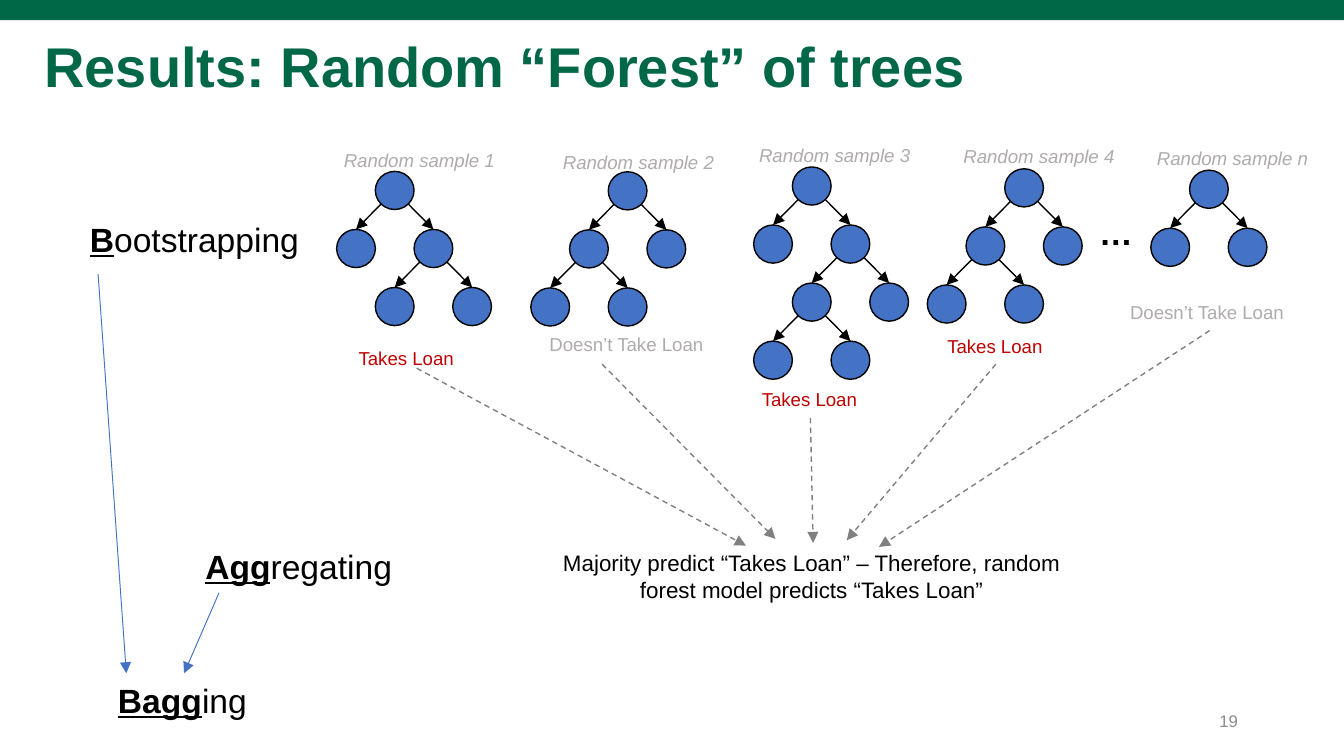
import dataclasses

import pptx
import pptx.dml.color
import pptx.enum.dml
import pptx.enum.shapes
import pptx.enum.text
import pptx.oxml.ns
import pptx.util
from lxml import etree

Align = pptx.enum.text.PP_ALIGN
Anchor = pptx.enum.text.MSO_ANCHOR
Shape = pptx.enum.shapes.MSO_SHAPE


@dataclasses.dataclass(frozen=True)
class Theme:
    font: str = "Arial"
    green: str = "006747"
    blue: str = "4472C4"
    black: str = "000000"
    red: str = "C00000"
    pale: str = "AFABAB"
    gray: str = "808080"
    number_gray: str = "8C8C8C"
    title: float = 30
    term: float = 18
    body: float = 12
    label: float = 10
    number: float = 9
    outline: float = 0.75
    thin: float = 0.5


class SlideBuilder:
    """Places elements on a square grid, 100 columns across the slide."""

    COLUMNS = 100
    NODE = (2.88, 2.84)
    STEP = (2.88, 4.32)
    EDGE_OFFSET = 1.0

    def __init__(self, deck, theme):
        self.theme = theme
        self.cell = deck.slide_width / self.COLUMNS
        self.page = deck.slides.add_slide(deck.slide_layouts[5])

    def grid(self, *lengths):
        return [pptx.util.Emu(round(length * self.cell)) for length in lengths]

    def color(self, value):
        return pptx.dml.color.RGBColor.from_string(value)

    def shape(self, kind, place, fill, outline=None):
        shape = self.page.shapes.add_shape(kind, *self.grid(*place))
        shape.shadow.inherit = False
        shape.fill.solid()
        shape.fill.fore_color.rgb = self.color(fill)
        if outline:
            shape.line.color.rgb = self.color(outline)
            shape.line.width = pptx.util.Pt(self.theme.outline)
        else:
            shape.line.fill.background()

    def style(self, para, size, color, align=Align.LEFT, bold=None, italic=None):
        para.alignment = align
        font = para.font
        font.name, font.size = self.theme.font, pptx.util.Pt(size)
        font.color.rgb = self.color(color)
        font.bold, font.italic = bold, italic

    def title(self, text, place):
        box = self.page.shapes.title
        box.left, box.top, box.width, box.height = self.grid(*place)
        frame = box.text_frame
        frame.text = text
        frame.auto_size = pptx.enum.text.MSO_AUTO_SIZE.NONE
        frame.vertical_anchor = Anchor.MIDDLE
        para = frame.paragraphs[0]
        para.line_spacing = 0.9
        self.style(para, self.theme.title, self.theme.green, bold=True)

    def text(self, text, place, size, color, wrap=False, anchor=Anchor.TOP, **style):
        box = self.page.shapes.add_textbox(*self.grid(*place))
        frame = box.text_frame
        frame.word_wrap = wrap
        frame.vertical_anchor = anchor
        para = frame.paragraphs[0]
        para.text = text
        self.style(para, size, color, **style)
        return para

    def term(self, stem, ending, place):
        """Write a word whose stem is bold and underlined."""
        para = self.text(stem, place, self.theme.term, self.theme.black)
        span = para.runs[0]
        span.font.bold = span.font.underline = True
        para.add_run().text = ending

    def arrow(self, start, end, color, width, dashed=False):
        line = self.page.shapes.add_connector(
            pptx.enum.shapes.MSO_CONNECTOR.STRAIGHT, *self.grid(*start, *end))
        line.line.color.rgb = self.color(color)
        line.line.width = pptx.util.Pt(width)
        if dashed:
            line.line.dash_style = pptx.enum.dml.MSO_LINE.DASH
        name = pptx.oxml.ns.qn
        properties = line._element.spPr
        etree.SubElement(properties.find(name("a:ln")), name("a:tailEnd"), type="triangle")
        etree.SubElement(properties, name("a:effectLst"))

    def node(self, x, y):
        width, height = self.NODE
        self.shape(Shape.OVAL, (x - width / 2, y - height / 2, width, height),
                   self.theme.blue, self.theme.black)

    def tree(self, root, splits):
        """Draw a binary tree; each split names a parent by its L/R turns from the root."""
        across, down = self.STEP
        self.node(*root)
        for turns in splits:
            x = root[0] + across * (turns.count("R") - turns.count("L"))
            y = root[1] + down * len(turns)
            for side in (-1, 1):
                child_x, child_y = x + side * across, y + down
                self.node(child_x, child_y)
                self.arrow((x + side * self.EDGE_OFFSET, y + self.EDGE_OFFSET),
                           (child_x, child_y - self.NODE[1] / 2),
                           self.theme.black, self.theme.outline)


# sample, its label corner, tree root, splits, takes loan, verdict corner, vote start, vote end
TREES = [
    ("1", (24.6, 10.6), (29.37, 14.17), ["", "R"], True, (25.7, 25.3), (31, 27.4), (55.5, 40.6)),
    ("2", (40.9, 10.7), (46.7, 14.2), ["", "L"], False, (39.9, 24.3), (44.8, 27.1), (57.7, 40.1)),
    ("3", (55.5, 10.2), (60.4, 13.84), ["", "R", "RL"], True, (55.7, 28.4), (60.3, 31.1), (60.5, 40.4)),
    ("4", (70.7, 10.3), (76.2, 13.98), ["", "L"], True, (69.5, 24.4), (74.1, 27.1), (63, 40.2)),
    ("n", (85.1, 10.4), (89.95, 14.08), [""], False, (83.1, 21.9), (90, 24.6), (65.4, 40.7)),
]

TERMS = [
    ("B", "ootstrapping", (5.7, 15.8, 17.7, 4)),
    ("Agg", "regating", (14.3, 40.1, 16, 4)),
    ("Bagg", "ing", (7.8, 50.1, 11.7, 4)),
]

TERM_ARROWS = [((7.3, 20.4), (9.4, 50.1)), ((16.3, 44.1), (13.7, 50.1))]


def main():
    deck = pptx.Presentation()
    deck.slide_width = pptx.util.Inches(10)
    deck.slide_height = deck.slide_width * 9 // 16
    theme = Theme()
    slide = SlideBuilder(deck, theme)

    slide.shape(Shape.RECTANGLE, (0, 0, 100, 1.5), theme.green)
    slide.title("Results: Random “Forest” of trees", (2.3, -0.3, 86.2, 10.9))
    slide.text("19", (70.6, 52.1, 22.5, 3), theme.number, theme.number_gray,
               wrap=True, anchor=Anchor.MIDDLE, align=Align.RIGHT)
    slide.text("Majority predict “Takes Loan” – Therefore, random forest model "
               "predicts “Takes Loan”", (40.9, 40.4, 39, 5), theme.body, theme.black,
               wrap=True, align=Align.CENTER)

    for sample, label, root, splits, takes_loan, verdict, start, end in TREES:
        slide.tree(root, splits)
        slide.text(f"Random sample {sample}", (*label, 13.3, 2.7),
                   theme.label, theme.pale, italic=True)
        if takes_loan:
            slide.text("Takes Loan", (*verdict, 9.3, 2.7), theme.label, theme.red)
        else:
            slide.text("Doesn’t Take Loan", (*verdict, 13.7, 2.7), theme.label, theme.pale)
        slide.arrow(start, end, theme.gray, theme.outline, dashed=True)

    slide.text("…", (80.8, 15.3, 4.5, 4), theme.term, theme.black, bold=True)
    for stem, ending, place in TERMS:
        slide.term(stem, ending, place)
    for start, end in TERM_ARROWS:
        slide.arrow(start, end, theme.blue, theme.thin)

    deck.save("out.pptx")


if __name__ == "__main__":
    main()
